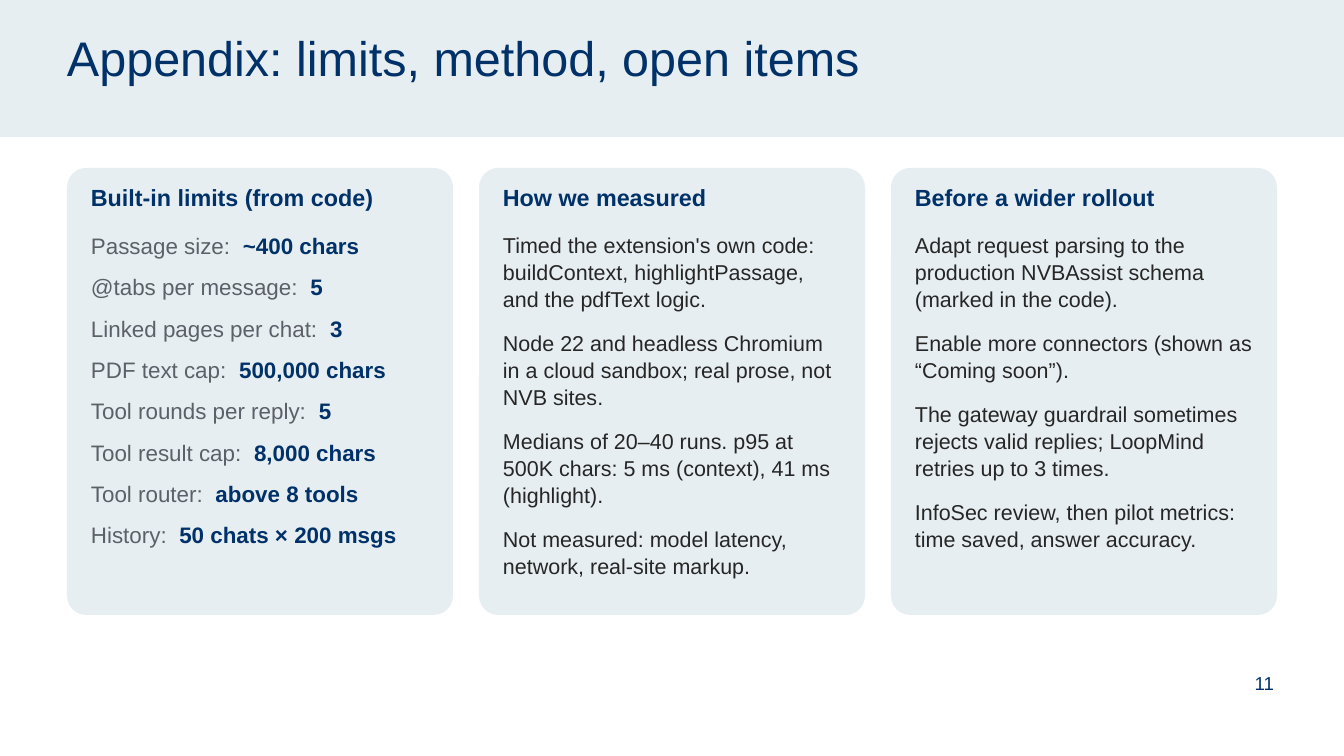
"""Build the appendix slide: limits, method and open items in three cards."""
import pptx
import pptx.dml.color
import pptx.enum.shapes
import pptx.enum.text
import pptx.util

RGBColor = pptx.dml.color.RGBColor
Anchor = pptx.enum.text.MSO_ANCHOR
Align = pptx.enum.text.PP_ALIGN
Preset = pptx.enum.shapes.MSO_SHAPE

NAVY = RGBColor(0x00, 0x31, 0x68)
MIST = RGBColor(0xE7, 0xEE, 0xF1)
GREY = RGBColor(0x5C, 0x60, 0x68)
INK = RGBColor(0x26, 0x26, 0x26)

EMU_PER_PX = 914400 / 134.4
CARD_LEFT, CARD_TOP, CARD_WIDTH, CARD_HEIGHT = 67, 168, 386, 447
CARD_STEP = 412
CARD_INSET = 24

LIMITS = [
    ("Passage size:  ", "~400 chars"),
    ("@tabs per message:  ", "5"),
    ("Linked pages per chat:  ", "3"),
    ("PDF text cap:  ", "500,000 chars"),
    ("Tool rounds per reply:  ", "5"),
    ("Tool result cap:  ", "8,000 chars"),
    ("Tool router:  ", "above 8 tools"),
    ("History:  ", "50 chats × 200 msgs"),
]
METHOD = [
    "Timed the extension's own code: buildContext, highlightPassage, and the pdfText logic.",
    "Node 22 and headless Chromium in a cloud sandbox; real prose, not NVB sites.",
    "Medians of 20–40 runs. p95 at 500K chars: 5 ms (context), 41 ms (highlight).",
    "Not measured: model latency, network, real-site markup.",
]
ROLLOUT = [
    "Adapt request parsing to the production NVBAssist schema (marked in the code).",
    "Enable more connectors (shown as “Coming soon”).",
    "The gateway guardrail sometimes rejects valid replies; LoopMind retries up to 3 times.",
    "InfoSec review, then pilot metrics: time saved, answer accuracy.",
]


def px(length):
    return pptx.util.Emu(round(length * EMU_PER_PX))


def write(frame, paragraphs, size, color=NAVY, bold=False, align=Align.LEFT,
          anchor=Anchor.TOP, spacing=1.05, after=0):
    """Fill a frame; a paragraph is a string or a (label, bold navy value) pair."""
    frame.word_wrap = True
    frame.auto_size = pptx.enum.text.MSO_AUTO_SIZE.NONE
    frame.vertical_anchor = anchor
    frame.margin_left = frame.margin_right = frame.margin_top = frame.margin_bottom = 0
    for index, content in enumerate(paragraphs):
        paragraph = frame.add_paragraph() if index else frame.paragraphs[0]
        paragraph.alignment = align
        paragraph.line_spacing = spacing
        paragraph.space_before = pptx.util.Pt(0)
        paragraph.space_after = pptx.util.Pt(after)
        if isinstance(content, str):
            pieces = [(content, color, bold)]
        else:
            label, value = content
            pieces = [(label, color, False), (value, NAVY, True)]
        for words, ink, heavy in pieces:
            run = paragraph.add_run()
            run.text = words
            run.font.name = "Arial"
            run.font.size = pptx.util.Pt(size)
            run.font.color.rgb = ink
            run.font.bold = heavy


def add_text(slide, left, top, width, height, paragraphs, **style):
    box = slide.shapes.add_textbox(px(left), px(top), px(width), px(height))
    write(box.text_frame, paragraphs, **style)


def add_panel(slide, preset, left, top, width, height):
    panel = slide.shapes.add_shape(preset, px(left), px(top), px(width), px(height))
    panel.shadow.inherit = False
    panel.fill.solid()
    panel.fill.fore_color.rgb = MIST
    panel.line.fill.background()
    return panel


def add_header(slide, heading):
    band = add_panel(slide, Preset.RECTANGLE, -1, -1, 1346, 138)
    band.element.getparent().insert(2, band.element)
    title = slide.shapes.title
    title.left, title.top, title.width, title.height = px(67), px(17), px(1109), px(87)
    write(title.text_frame, [heading], size=26, anchor=Anchor.MIDDLE, spacing=0.9)


def add_card(slide, column, heading, paragraphs, **style):
    left = CARD_LEFT + column * CARD_STEP
    card = add_panel(slide, Preset.ROUNDED_RECTANGLE, left, CARD_TOP, CARD_WIDTH, CARD_HEIGHT)
    card.adjustments[0] = 0.05
    text_left, text_width = left + CARD_INSET, CARD_WIDTH - 2 * CARD_INSET
    add_text(slide, text_left, CARD_TOP + 14, text_width, 38, [heading], size=12.5, bold=True)
    add_text(slide, text_left, CARD_TOP + 63, text_width, 376, paragraphs, **style)


def main():
    deck = pptx.Presentation()
    deck.slide_width, deck.slide_height = px(1344), px(756)
    slide = deck.slides.add_slide(deck.slide_layouts[5])
    add_header(slide, "Appendix: limits, method, open items")
    prose = {"size": 11.5, "color": INK, "after": 9}
    add_card(slide, 0, "Built-in limits (from code)", LIMITS, size=12, color=GREY, after=7)
    add_card(slide, 1, "How we measured", METHOD, **prose)
    add_card(slide, 2, "Before a wider rollout", ROLLOUT, **prose)
    add_text(slide, 1230, 654, 44, 40, ["11"], size=10, align=Align.RIGHT, anchor=Anchor.BOTTOM)
    deck.save("out.pptx")


if __name__ == "__main__":
    main()
